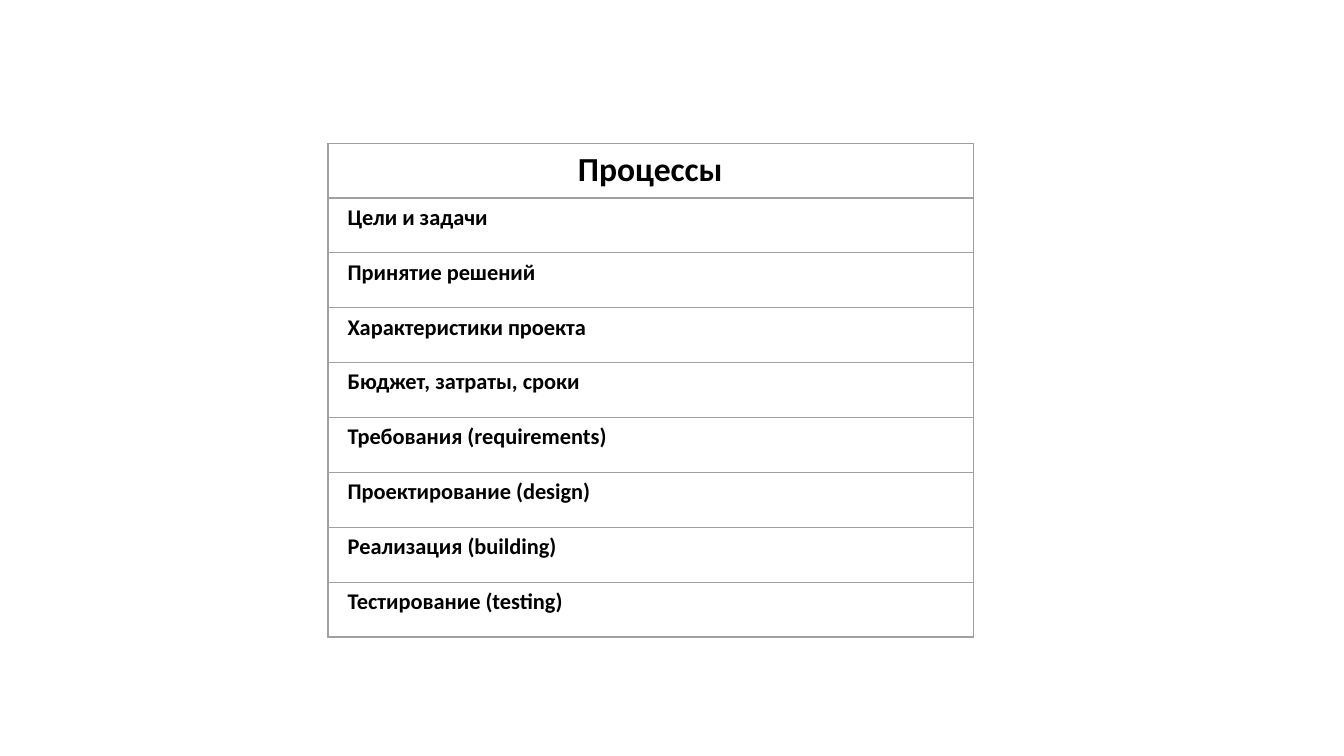
import pptx
import pptx.dml.color
import pptx.enum.shapes
import pptx.enum.text
import pptx.util
from dataclasses import dataclass

Inches = pptx.util.Inches
Align = pptx.enum.text.PP_ALIGN


@dataclass(frozen=True)
class Theme:
    font: str = "Calibri"
    ink: str = "000000"
    border: str = "A0A0A0"
    heading_size: float = 24
    row_size: float = 16
    border_width: float = 0.75


def apply_format(target, values):
    for name, value in values.items():
        setattr(target, name, value)


class SlideBuilder:
    def __init__(self, theme, slide):
        self.theme = theme
        self.shapes = slide.shapes.add_group_shape().shapes

    def frame(self, left, top, width, height):
        shape = self.shapes.add_shape(
            pptx.enum.shapes.MSO_SHAPE.RECTANGLE,
            Inches(left), Inches(top), Inches(width), Inches(height))
        shape.shadow.inherit = False
        shape.fill.background()
        shape.line.color.rgb = pptx.dml.color.RGBColor.from_string(self.theme.border)
        shape.line.width = pptx.util.Pt(self.theme.border_width)

    def label(self, text, left, top, width, height, size, alignment):
        shape = self.shapes.add_textbox(
            Inches(left), Inches(top), Inches(width), Inches(height))
        apply_format(shape.text_frame, {
            "word_wrap": True,
            "vertical_anchor": pptx.enum.text.MSO_ANCHOR.TOP,
            "margin_left": Inches(0.1), "margin_right": Inches(0.1),
            "margin_top": Inches(0.05), "margin_bottom": Inches(0.05),
        })
        paragraph = shape.text_frame.paragraphs[0]
        paragraph.alignment = alignment
        run = paragraph.add_run()
        run.text = text
        apply_format(run.font, {
            "name": self.theme.font, "size": pptx.util.Pt(size), "bold": True})
        run.font.color.rgb = pptx.dml.color.RGBColor.from_string(self.theme.ink)


HEADING = "Процессы"
PROCESSES = [
    "Цели и задачи",
    "Принятие решений",
    "Характеристики проекта",
    "Бюджет, затраты, сроки",
    "Требования (requirements)",
    "Проектирование (design)",
    "Реализация (building)",
    "Тестирование (testing)",
]
LEFT, TOP, WIDTH, HEIGHT = 3.26, 1.42, 6.4, 4.9
TEXT_LEFT, TEXT_WIDTH = 3.35, 6.2


def main():
    presentation = pptx.Presentation()
    apply_format(presentation, {
        "slide_width": Inches(13.33), "slide_height": Inches(7.5)})
    slide = presentation.slides.add_slide(presentation.slide_layouts[6])
    theme = Theme()
    builder = SlideBuilder(theme, slide)

    rows = [(HEADING, theme.heading_size, Align.CENTER)]
    rows += [(process, theme.row_size, Align.LEFT) for process in PROCESSES]
    row_height = HEIGHT / len(rows)
    for index, (text, size, alignment) in enumerate(rows):
        top = TOP + index * row_height
        builder.label(text, TEXT_LEFT, top, TEXT_WIDTH, row_height, size, alignment)
        builder.frame(LEFT, top, WIDTH, row_height)
    builder.frame(LEFT - 0.01, TOP, WIDTH + 0.01, HEIGHT)

    presentation.save("out.pptx")


if __name__ == "__main__":
    main()
